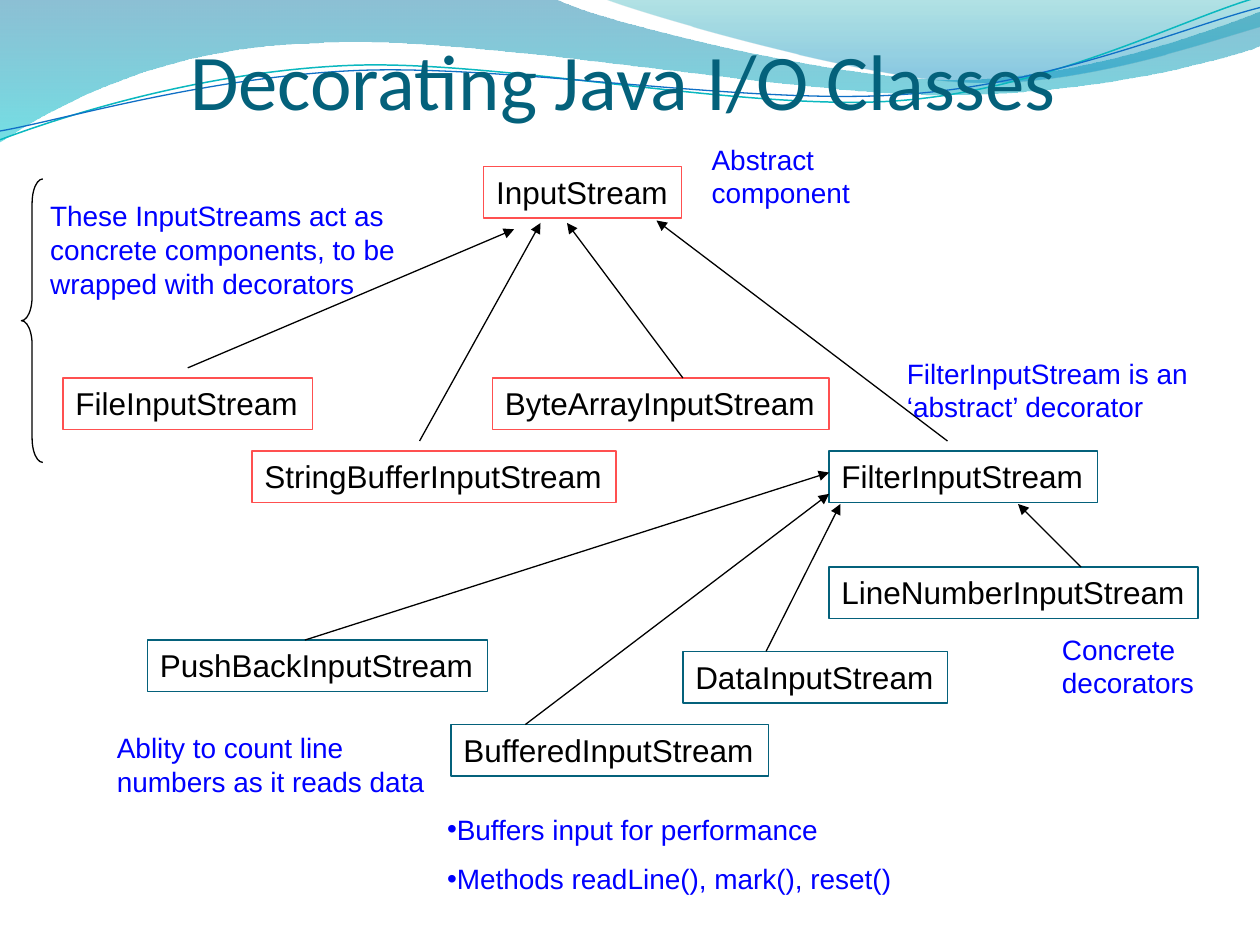
"""Build the slide on decorating the Java input stream classes."""
import pptx
import pptx.dml.color
import pptx.enum.dml
import pptx.enum.shapes
import pptx.enum.text
import pptx.oxml
import pptx.oxml.ns
import pptx.util
from pptx.util import Inches

TITLE = "Decorating Java I/O Classes"
COMPONENT, DECORATOR, NOTE, BLACK = "FF5050", "04617B", "0000FF", "000000"

CLASSES = [
    ("InputStream", 3.84, 1.32, 1.57, COMPONENT),
    ("FileInputStream", 0.5, 3, 1.98, COMPONENT),
    ("StringBufferInputStream", 2, 3.58, 2.89, COMPONENT),
    ("ByteArrayInputStream", 3.91, 3, 2.67, COMPONENT),
    ("FilterInputStream", 6.58, 3.58, 2.13, DECORATOR),
    ("PushBackInputStream", 1.17, 5.08, 2.7, DECORATOR),
    ("BufferedInputStream", 3.58, 5.75, 2.52, DECORATOR),
    ("DataInputStream", 5.42, 5.17, 2.1, DECORATOR),
    ("LineNumberInputStream", 6.58, 4.5, 2.93, DECORATOR),
]
CLASS_HEIGHT = 0.41

INHERITANCE = [
    (1.49, 2.92, 4.08, 1.82), (3.33, 3.5, 4.29, 1.77),
    (5.42, 3, 4.5, 1.77), (7.52, 3.5, 5.21, 1.75),
    (8.58, 4.5, 8.08, 4), (6.08, 5.17, 6.67, 4),
    (4.17, 5.75, 6.58, 3.92), (2.42, 5.08, 6.58, 3.75),
]

NOTES = [
    (["These InputStreams act as concrete components, to be wrapped with decorators"],
     (0.3, 1.53, 3.03, 0.91)),
    (["FilterInputStream is an ‘abstract’ decorator"], (7.1, 2.78, 2.67, 0.64)),
    (["Concrete decorators"], (8.33, 4.97, 1.42, 0.64)),
    (["Buffers input for performance", "Methods readLine(), mark(), reset()"],
     (3.45, 6.4, 3.85, 0.77)),
    (["Ablity to count line numbers as it reads data"], (0.83, 5.75, 2.8, 0.64)),
    (["Abstract component"], (5.55, 1.08, 1.83, 0.64)),
]

WAVES = [
    {"path": [(0, 0), (4.4, -0.01),
              (4.76, 0.17, 6.64, 0.63, 7.58, 0.63), (8.53, 0.63, 9.58, 0.26, 10, 0.09),
              (10.01, 0.36),
              (9.83, 0.44, 8.7, 0.76, 7.46, 0.75), (6.22, 0.75, 3.82, 0.28, 2.57, 0.34),
              (1.29, 0.36, 0.46, 0.83, -0.01, 1.13)],
     "stops": [(0, "0074A1", 45), (1, "00C6CF", 55)]},
    {"path": [(4.79, -0.01),
              (5.09, 0.11, 6.82, 0.62, 7.69, 0.65), (8.56, 0.69, 9.61, 0.32, 10, 0.21),
              (10, 0)],
     "stops": [(0, "00A1A9", 30), (0.8, "008BBF", 45)]},
    {"path": [(0, 1.11),
              (0.48, 0.93, 1.58, 0.57, 2.77, 0.52), (3.95, 0.47, 5.93, 0.89, 7.13, 0.8),
              (8.33, 0.71, 9.38, 0.15, 9.98, -0.02)],
     "line": ("0AB8BF", 0.85)},
    {"path": [(0, 1.04),
              (0.47, 0.96, 1.64, 0.61, 2.83, 0.56), (4.03, 0.51, 5.97, 0.84, 7.17, 0.75),
              (8.36, 0.67, 9.41, 0.21, 10, 0.06)],
     "line": ("0F6FC6", 0.75)},
]

ANCHOR = pptx.enum.text.MSO_ANCHOR
FIT = pptx.enum.text.MSO_AUTO_SIZE.SHAPE_TO_FIT_TEXT
TITLE_FRAME = {"word_wrap": True, "vertical_anchor": ANCHOR.BOTTOM, "margin_left": 0,
               "margin_right": 0, "margin_top": Inches(0.05), "margin_bottom": 0}
CLASS_FRAME = {"word_wrap": False, "vertical_anchor": ANCHOR.TOP, "auto_size": FIT}
NOTE_FRAME = {"word_wrap": True, "auto_size": FIT}
TITLE_FONT = {"name": "Calibri", "size": pptx.util.Pt(45)}
CLASS_FONT = {"name": "Arial", "size": pptx.util.Pt(18)}
NOTE_FONT = {"name": "Arial", "size": pptx.util.Pt(16)}


def rgb(value):
    return pptx.dml.color.RGBColor.from_string(value)


def apply(target, values):
    for name, value in values.items():
        setattr(target, name, value)


def add_xml(parent, tag, **attributes):
    child = pptx.oxml.parse_xml(f"<a:{tag} {pptx.oxml.ns.nsdecls('a')}/>")
    for name, value in attributes.items():
        child.set(name, value)
    parent.append(child)
    return child


def outline(shape, color, width=0.75):
    shape.line.color.rgb = rgb(color)
    shape.line.width = pptx.util.Pt(width)


def write(shape, lines, frame_format, font_format, color, align="LEFT"):
    frame = shape.text_frame
    apply(frame, frame_format)
    for index, line in enumerate(lines):
        paragraph = frame.add_paragraph() if index else frame.paragraphs[0]
        paragraph.alignment = getattr(pptx.enum.text.PP_ALIGN, align)
        if index:
            paragraph.space_before = pptx.util.Pt(9)
        if len(lines) > 1:
            properties = paragraph._p.get_or_add_pPr()
            add_xml(properties, "buFont", typeface="Arial")
            add_xml(properties, "buChar", char="•")
        run = paragraph.add_run()
        run.text = line
        for font in (paragraph.font, run.font):
            apply(font, font_format)
            font.color.rgb = rgb(color)


def add_wave(shapes, wave):
    steps = [[(Inches(x), Inches(y)) for x, y in zip(step[::2], step[1::2])]
             for step in wave["path"]]
    builder = shapes.build_freeform(*steps[0][0])
    builder.add_line_segments(sum(steps[1:], []), close="stops" in wave)
    shape = builder.convert_to_shape()
    bend(shape, steps[1:])
    shape.shadow.inherit = False
    if "line" in wave:
        shape.fill.background()
        outline(shape, *wave["line"])
        return
    shape.line.fill.background()
    shape.fill.gradient()
    shape.fill.gradient_angle = 270
    for stop, (position, color, _) in zip(shape.fill.gradient_stops, wave["stops"]):
        stop.position = position
        stop.color.rgb = rgb(color)
    colors = shape._element.spPr.iter(pptx.oxml.ns.qn("a:srgbClr"))
    for element, (_, _, opacity) in zip(colors, wave["stops"]):
        add_xml(element, "alpha", val=str(opacity * 1000))


def bend(shape, steps):
    segments = iter(list(shape._element.spPr.iter(pptx.oxml.ns.qn("a:lnTo"))))
    for step in steps:
        group = [next(segments) for _ in step]
        if len(group) == 3:
            outline_path = group[0].getparent()
            curve = add_xml(outline_path, "cubicBezTo")
            outline_path.replace(group[0], curve)
            for segment in group:
                curve.append(segment[0])
            for segment in group[1:]:
                outline_path.remove(segment)


def add_outlined(shapes, preset, place, color):
    shape = shapes.add_shape(preset, *map(Inches, place))
    shape.shadow.inherit = False
    shape.fill.background()
    outline(shape, color)
    return shape


def add_arrow(shapes, ends):
    arrow = shapes.add_connector(pptx.enum.shapes.MSO_CONNECTOR.STRAIGHT, *map(Inches, ends))
    outline(arrow, BLACK)
    add_xml(arrow.line._get_or_add_ln(), "tailEnd", type="triangle")
    add_xml(arrow._element.spPr, "effectLst")


def main():
    deck = pptx.Presentation()
    deck.slide_width, deck.slide_height = Inches(10), Inches(7.5)
    shapes = deck.slides.add_slide(deck.slide_layouts[6]).shapes
    presets = pptx.enum.shapes.MSO_SHAPE

    for wave in WAVES:
        add_wave(shapes, wave)
    title = shapes.add_textbox(*map(Inches, (1.17, 0.25, 7.55, 0.75)))
    write(title, [TITLE], TITLE_FRAME, TITLE_FONT, DECORATOR, "CENTER")

    for name, left, top, width, color in CLASSES:
        box = add_outlined(shapes, presets.RECTANGLE, (left, top, width, CLASS_HEIGHT), color)
        write(box, [name], CLASS_FRAME, CLASS_FONT, BLACK)
    for ends in INHERITANCE:
        add_arrow(shapes, ends)
    brace = add_outlined(shapes, presets.LEFT_BRACE, (0.17, 1.42, 0.17, 2.25), BLACK)
    brace.adjustments[0] = 1.125
    for lines, place in NOTES:
        note = shapes.add_textbox(*map(Inches, place))
        write(note, lines, NOTE_FRAME, NOTE_FONT, NOTE)
    deck.save("out.pptx")


if __name__ == "__main__":
    main()
